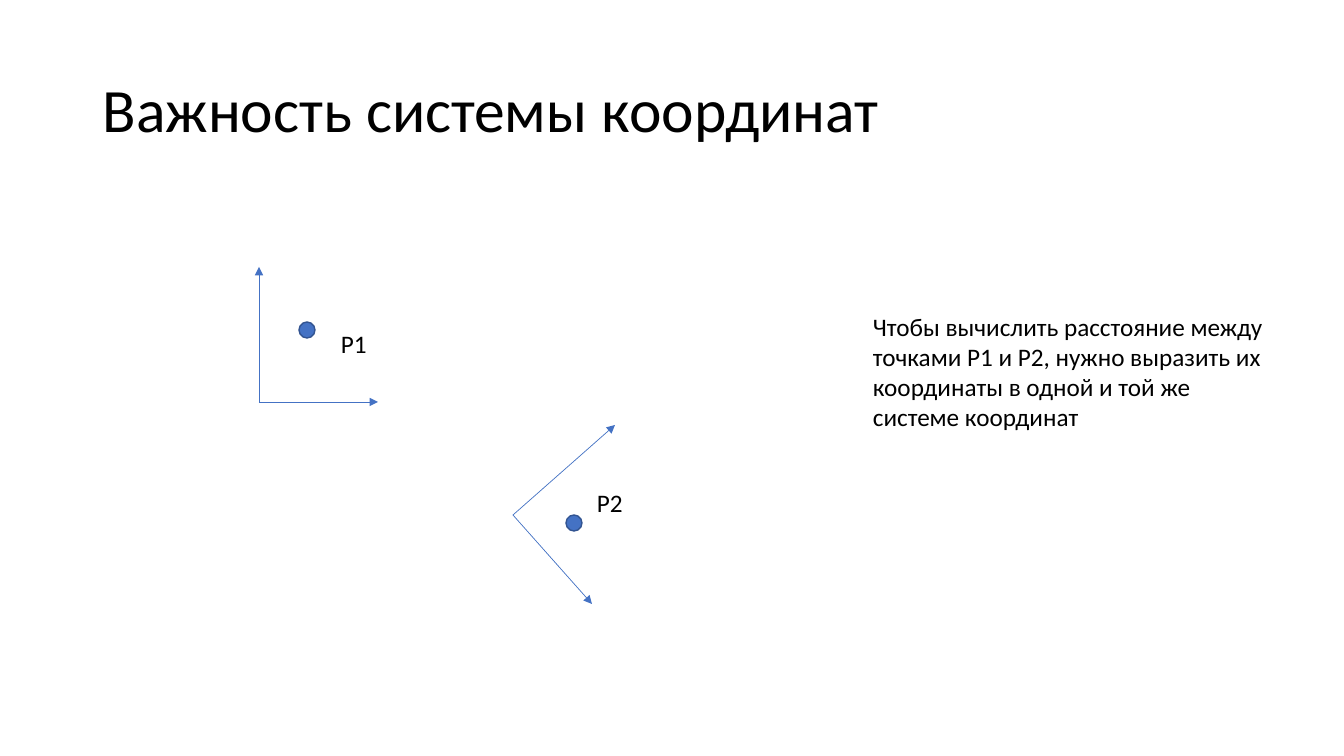
from dataclasses import dataclass

from lxml.etree import SubElement
from pptx import Presentation
from pptx.dml.color import RGBColor
from pptx.enum.shapes import MSO_CONNECTOR, MSO_SHAPE
from pptx.enum.text import MSO_ANCHOR
from pptx.oxml.ns import qn
from pptx.util import Pt

TITLE = ("Важность системы координат", (93, 40, 1159, 146))
BODY = (
    "Чтобы вычислить расстояние между точками P1 и P2, "
    "нужно выразить их координаты в одной и той же системе координат",
    (863, 306, 413, 132),
)
FRAMES = [
    {"origin": (259, 402), "tips": [(259, 267), (378, 402)]},
    {"origin": (513, 515), "tips": [(615, 425), (592, 604)]},
]
POINTS = [
    {"name": "P1", "center": (307, 330), "label": (331, 323)},
    {"name": "P2", "center": (574, 523), "label": (587, 482)},
]
SLIDE_SIZE = (1344, 756)
LABEL_SIZE = (46, 40)
DOT = 16
EMU_PER_PX = 914400 / 100.8


@dataclass(frozen=True)
class Theme:
    font: str = "Calibri"
    text: RGBColor = RGBColor(0x00, 0x00, 0x00)
    accent: RGBColor = RGBColor(0x44, 0x72, 0xC4)
    outline: RGBColor = RGBColor(0x32, 0x54, 0x91)
    title_size: int = 44
    body_size: int = 18
    axis_width: float = 0.5
    dot_width: int = 1


THEME = Theme()


def px(*lengths):
    return [round(n * EMU_PER_PX) for n in lengths]


def add_text(slide, text, box, size, wrap=True, anchor=MSO_ANCHOR.TOP, spacing=None):
    tf = slide.shapes.add_textbox(*px(*box)).text_frame
    tf.word_wrap = wrap
    tf.vertical_anchor = anchor
    p = tf.paragraphs[0]
    p.text = text
    p.line_spacing = spacing
    p.font.name = THEME.font
    p.font.size = Pt(size)
    p.font.color.rgb = THEME.text


def add_axis(group, origin, tip):
    line = group.shapes.add_connector(MSO_CONNECTOR.STRAIGHT, *px(*origin, *tip))
    line.line.color.rgb = THEME.accent
    line.line.width = Pt(THEME.axis_width)
    SubElement(line.line._get_or_add_ln(), qn("a:tailEnd"), type="triangle")
    SubElement(line._element.spPr, qn("a:effectLst"))


def add_dot(slide, center):
    x, y = center
    sp = slide.shapes.add_shape(
        MSO_SHAPE.OVAL, *px(x - DOT // 2, y - DOT // 2, DOT, DOT)
    )
    sp.shadow.inherit = False
    sp.fill.solid()
    sp.fill.fore_color.rgb = THEME.accent
    sp.line.color.rgb = THEME.outline
    sp.line.width = Pt(THEME.dot_width)


def main():
    prs = Presentation()
    prs.slide_width, prs.slide_height = px(*SLIDE_SIZE)
    s = prs.slides.add_slide(prs.slide_layouts[6])

    add_text(s, *TITLE, THEME.title_size, anchor=MSO_ANCHOR.MIDDLE, spacing=0.9)
    for frame in FRAMES:
        group = s.shapes.add_group_shape()
        for tip in frame["tips"]:
            add_axis(group, frame["origin"], tip)
    for point in POINTS:
        add_dot(s, point["center"])
    for point in POINTS:
        box = (*point["label"], *LABEL_SIZE)
        add_text(s, point["name"], box, THEME.body_size, wrap=False)
    add_text(s, *BODY, THEME.body_size)

    prs.save("out.pptx")


if __name__ == "__main__":
    main()
